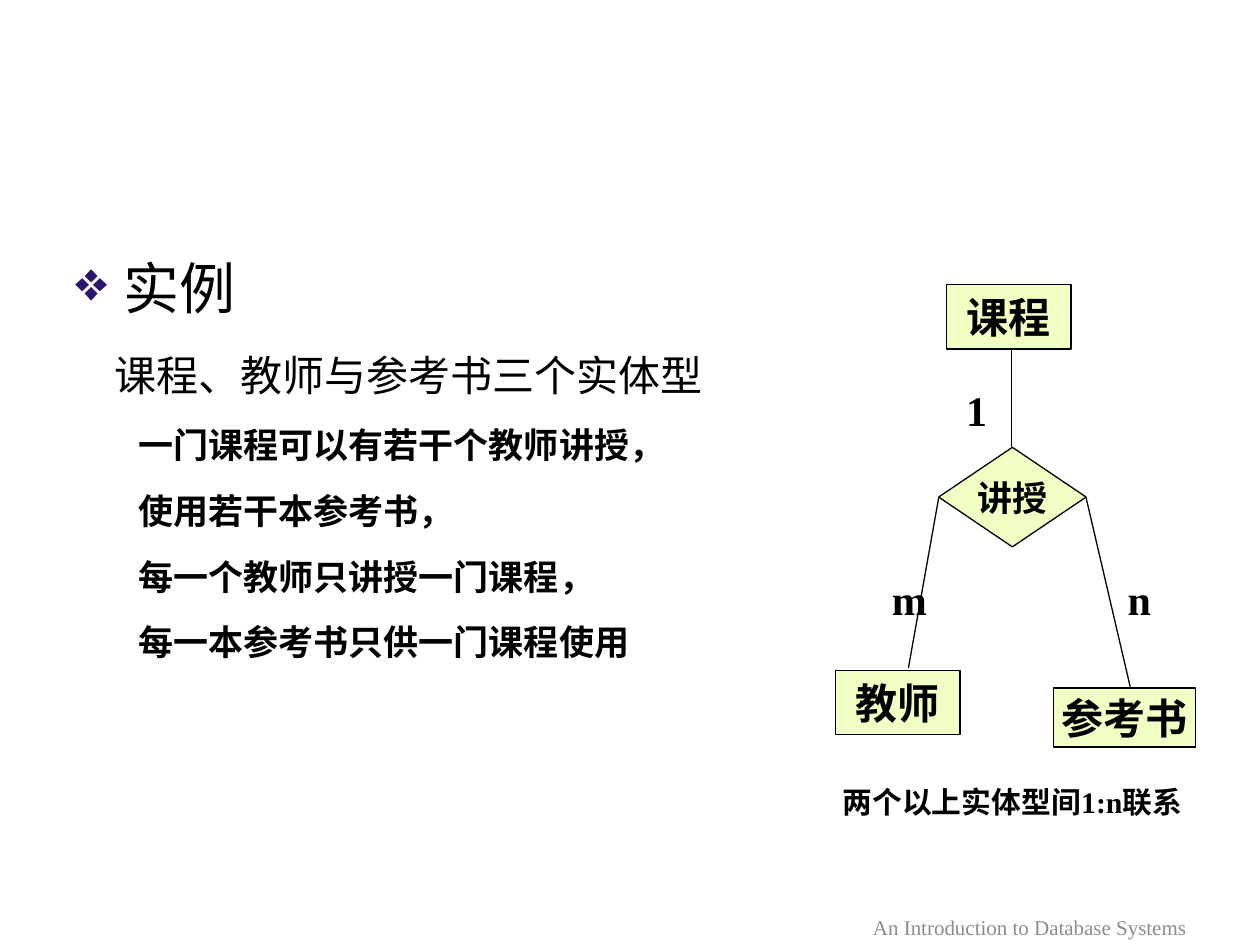
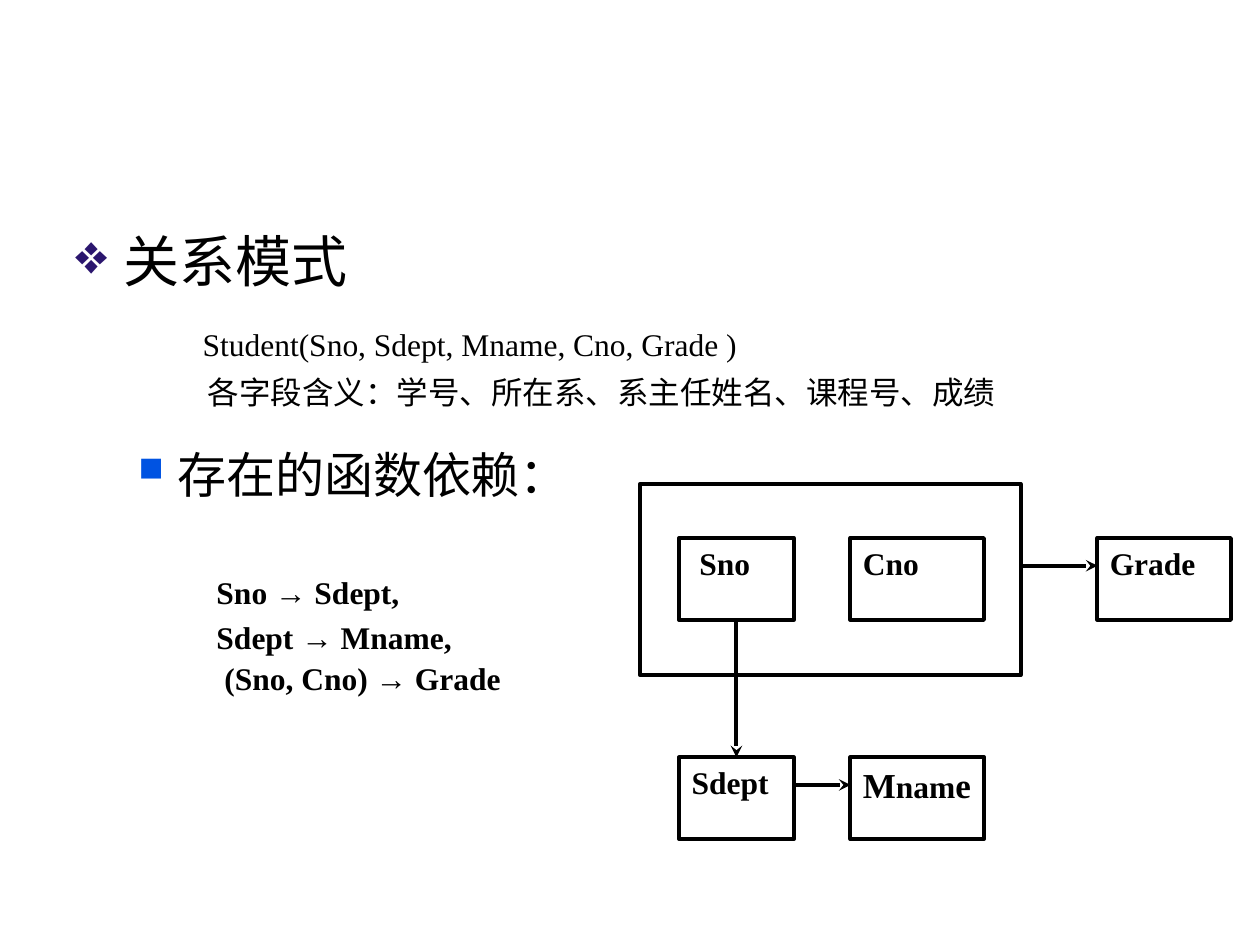
"""Build two database lecture slides: a ternary link and a dependency graph."""
from lxml import etree
from pptx import Presentation
from pptx.dml.color import RGBColor
from pptx.enum.shapes import MSO_CONNECTOR, MSO_SHAPE
from pptx.enum.text import MSO_ANCHOR, PP_ALIGN
from pptx.oxml.ns import qn
from pptx.util import Inches, Pt

RECT, DIAMOND = MSO_SHAPE.RECTANGLE, MSO_SHAPE.DIAMOND
STRAIGHT = MSO_CONNECTOR.STRAIGHT
TOP, MIDDLE = MSO_ANCHOR.TOP, MSO_ANCHOR.MIDDLE
LEFT, CENTER, JUSTIFY = PP_ALIGN.LEFT, PP_ALIGN.CENTER, PP_ALIGN.JUSTIFY
FONT = "Times New Roman"
BLACK, GRAY, LIME = "000000", "8C8C8C", "F0FFC3"
BODY = (0.5, 1.75, 9, 4.95)
HEAD = dict(size=32, left=0.38, hang=0.38, mark=("❖", "2B166E", 100))
ITEM = dict(size=20, bold=True, left=0.5, before=4)

CASE = [
    ("实例", HEAD),
    ("课程、教师与参考书三个实体型", dict(size=24, left=0.31, before=4.8)),
    ("一门课程可以有若干个教师讲授，", ITEM),
    ("使用若干本参考书，", ITEM),
    ("每一个教师只讲授一门课程，", ITEM),
    ("每一本参考书只供一门课程使用", ITEM),
]
NODES = [
    ("课程", RECT, (7.51, 2.26, 0.99, 0.51), 24),
    ("讲授", DIAMOND, (7.45, 3.55, 1.17, 0.79), 20),
    ("教师", RECT, (6.63, 5.32, 0.99, 0.51), 24),
    ("参考书", RECT, (8.36, 5.46, 1.13, 0.47), 24),
]
EDGES = [
    (8.03, 3.55, 8.03, 2.76),
    (7.45, 3.95, 7.21, 5.3),
    (8.62, 3.95, 8.97, 5.45),
]
COUNTS = [("1", 7.57, 3), ("m", 6.98, 4.5), ("n", 8.85, 4.5)]

SCHEMA = [
    ("关系模式", HEAD),
    ("存在的函数依赖：", dict(size=28, left=0.81, hang=0.31, before=86,
                       mark=("■", "0053E2", 70))),
]
NOTES = [
    ("Student(Sno, Sdept, Mname, Cno, Grade )", 1.51, 2.53),
    ("各字段含义：学号、所在系、系主任姓名、课程号、成绩", 1.55, 2.91),
]
RULES = [
    ("Sno → Sdept,", dict(space=1.2)),
    ("Sdept → Mname,", dict(space=1.2)),
    (" (Sno, Cno) → Grade", dict(before=1.8)),
]
COLS = [(5.39, 0.91), (6.75, 1.06), (8.71, 1.06)]
ROWS, TALL = [4.27, 6.01], 0.65
FIELDS = [
    (" Sno", 0, 0), ("Cno", 1, 0), ("Grade", 2, 0), ("Sdept", 0, 1),
    ([("M", 20), ("nam", 18), ("e", 20)], 1, 1),
]
KEY = (5.08, 3.84, 3.02, 1.52)


def tint(code):
    return RGBColor.from_string(code)


def mark_up(para, char, color, scale):
    props = para._p.get_or_add_pPr()
    paint = etree.SubElement(props, qn("a:buClr"))
    etree.SubElement(paint, qn("a:srgbClr"), val=color)
    etree.SubElement(props, qn("a:buSzPct"), val=str(scale * 1000))
    etree.SubElement(props, qn("a:buChar"), char=char)


def write(para, text, size=18, bold=False, color=BLACK, align=LEFT,
          space=None, before=0, left=0, hang=0, mark=None):
    para.alignment = align
    para.space_before = Pt(before)
    if space:
        para.line_spacing = space
    props = para._p.get_or_add_pPr()
    props.set("marL", str(Inches(left)))
    props.set("indent", str(-Inches(hang)))
    if mark:
        mark_up(para, *mark)
    parts = [(text, size)] if isinstance(text, str) else text
    for part, height in parts:
        run = para.add_run()
        run.text = part
        font = run.font
        font.name, font.size, font.bold = FONT, Pt(height), bold
        font.color.rgb = tint(color)


def fill_in(shape, lines, anchor=TOP, wrap=True, **form):
    frame = shape.text_frame
    frame.word_wrap, frame.vertical_anchor = wrap, anchor
    for i, (text, own) in enumerate(lines):
        para = frame.add_paragraph() if i else frame.paragraphs[0]
        write(para, text, **{**form, **own})


def label(slide, lines, box, **form):
    lines = [(lines, {})] if isinstance(lines, str) else lines
    shape = slide.shapes.add_textbox(*map(Inches, box))
    fill_in(shape, lines, **form)


def block(slide, kind, box, width, text="", fill=None, **form):
    shape = slide.shapes.add_shape(kind, *map(Inches, box))
    shape.shadow.inherit = False
    if fill:
        shape.fill.solid()
        shape.fill.fore_color.rgb = tint(fill)
    else:
        shape.fill.background()
    shape.line.color.rgb = tint(BLACK)
    shape.line.width = Pt(width)
    if text:
        fill_in(shape, [(text, {})], bold=True, **form)


def link(slide, ends, width, arrow=False):
    line = slide.shapes.add_connector(STRAIGHT, *map(Inches, ends))
    line.line.color.rgb = tint(BLACK)
    line.line.width = Pt(width)
    if arrow:
        etree.SubElement(line.line._get_or_add_ln(), qn("a:tailEnd"),
                         type="stealth")
    etree.SubElement(line._element.spPr, qn("a:effectLst"))


def draw_case(slide):
    label(slide, CASE, BODY, space=1.4)
    label(slide, "An Introduction to Database Systems",
          (6.83, 7.19, 3.17, 0.33), size=12, color=GRAY, anchor=MIDDLE)
    for text, kind, box, size in NODES:
        block(slide, kind, box, 0.75, text, LIME, size=size,
              anchor=MIDDLE, wrap=False, align=CENTER)
    for ends in EDGES:
        link(slide, ends, 0.75)
    for text, x, y in COUNTS:
        label(slide, text, (x, y, 0.29, 0.5), size=24, bold=True)
    label(slide, "两个以上实体型间1:n联系", (6.46, 6.17, 3.15, 0.38),
          size=17, bold=True, align=CENTER)


def draw_schema(slide):
    label(slide, SCHEMA, BODY)
    for text, x, y in NOTES:
        label(slide, text, (x, y, 7.48, 0.4))
    label(slide, RULES, (1.62, 4.44, 5, 1.16), bold=True)
    block(slide, RECT, KEY, 2.25)
    for text, col, row in FIELDS:
        x, wide = COLS[col]
        block(slide, RECT, (x, ROWS[row], wide, TALL), 2.25, text,
              align=JUSTIFY)
    (sno, wide), (cno, _), (grade, _) = COLS
    mid, high, low = sno + wide / 2, ROWS[0] + 0.22, ROWS[1] + 0.22
    for ends in [(mid, ROWS[0] + TALL, mid, ROWS[1]),
                 (sno + wide, low, cno, low),
                 (KEY[0] + KEY[2], high, grade, high)]:
        link(slide, ends, 2.25, arrow=True)


def main():
    deck = Presentation()
    deck.slide_width, deck.slide_height = Inches(10), Inches(7.5)
    for draw in (draw_case, draw_schema):
        draw(deck.slides.add_slide(deck.slide_layouts[6]))
    deck.save("out.pptx")


if __name__ == "__main__":
    main()
